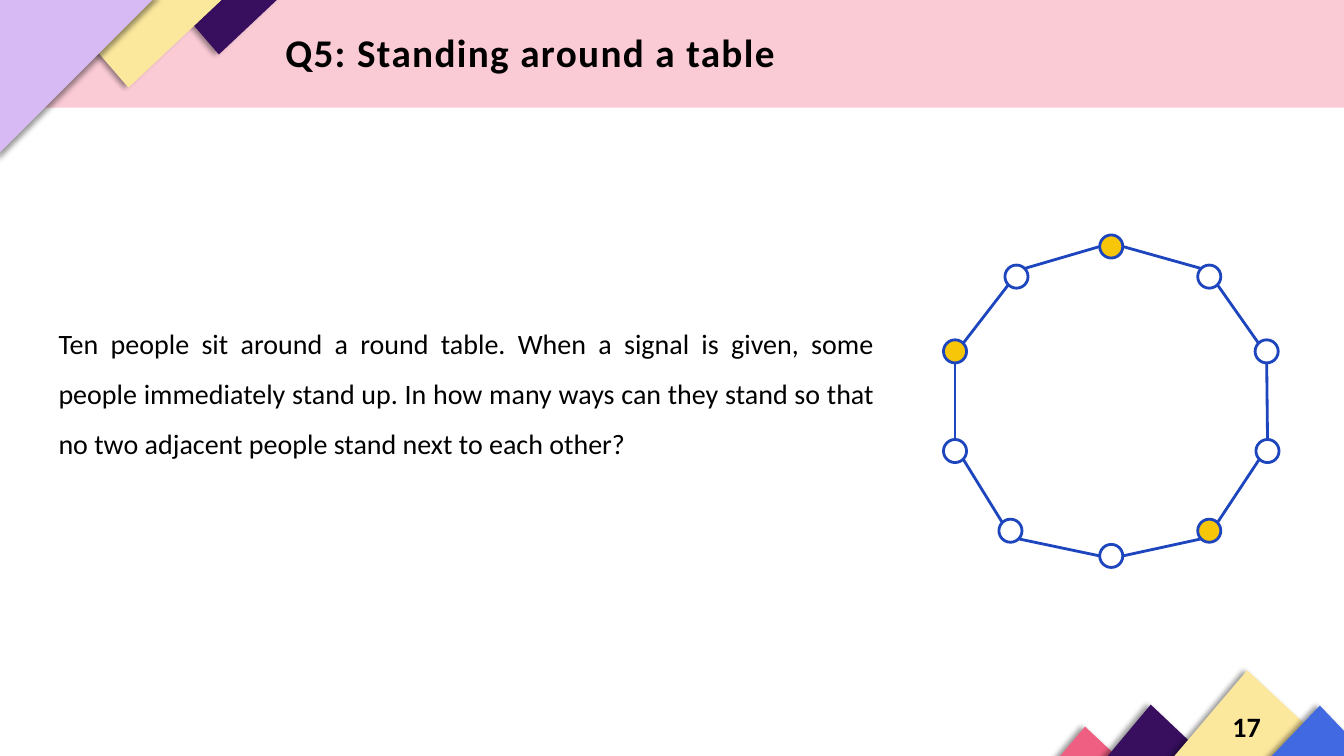
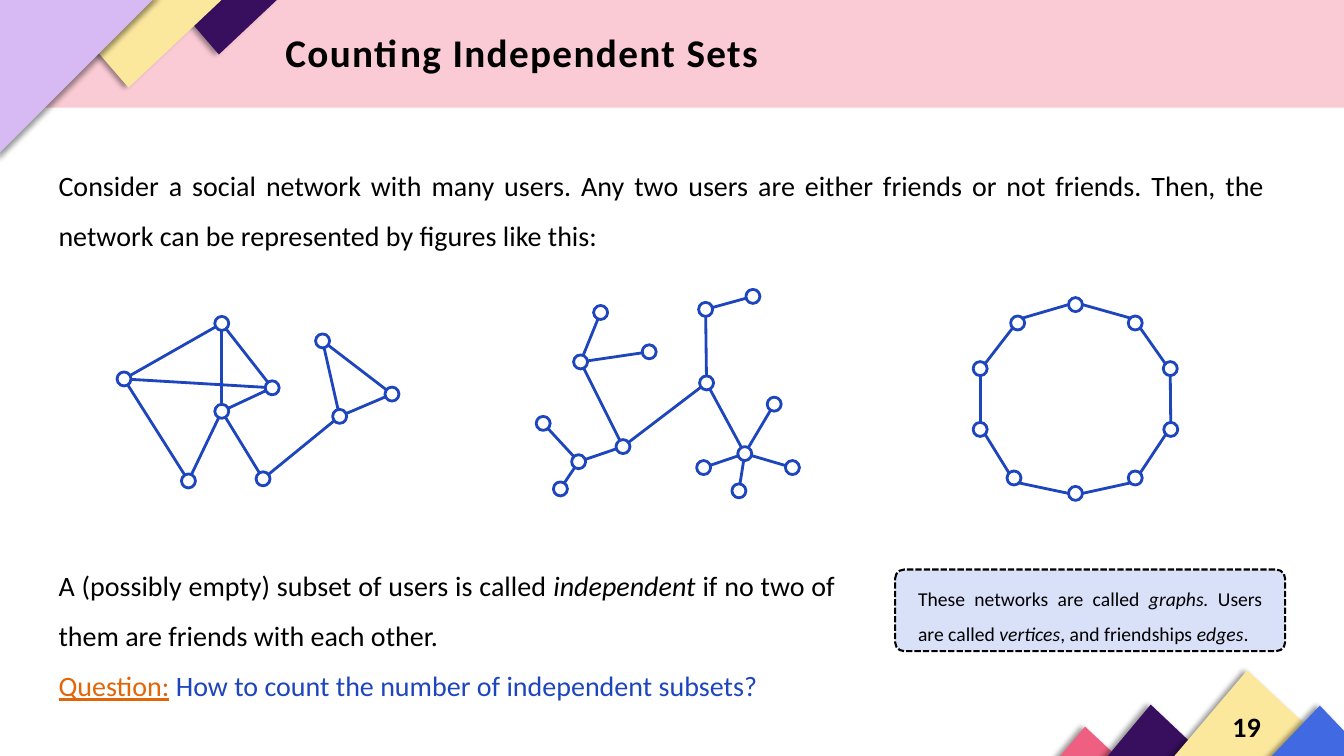
import math

from lxml import etree
from pptx import Presentation
from pptx.dml.color import RGBColor
from pptx.enum import dml, shapes, text
from pptx.oxml.ns import qn
from pptx.util import Pt

COLOURS = {
    "black": "000000", "white": "FFFFFF", "pink": "FACAD5", "navy": "370F5E",
    "cream": "FCE89D", "lilac": "D7BAF4", "rose": "EF5F81", "royal": "4169E2",
    "blue": "1D45BD", "gold": "F7C608", "orange": "E26507", "pale": "D9E1F9",
}
FONT = "Calibri"
SHAPE = shapes.MSO_SHAPE
ALIGN = text.PP_ALIGN
ANCHOR = text.MSO_ANCHOR

# left, top, width, height, rotation, apex, colour, shadow direction
CORNERS = [
    (120.2, -2.9, 80.6, 41.8, 180, 0.552, "navy", 180),
    (35.3, -2.9, 126, 65.5, 180, 0.552, "cream", 180),
    (-3.6, -3.6, 116, 116, 90, 0, "lilac", 45),
    (753.8, 519, 48.2, 25.2, 0, 0.442, "rose", 180),
    (787, 503.3, 79.2, 41.8, 0, 0.442, "navy", 180),
    (835.2, 478.8, 126, 65.5, 0, 0.442, "cream", 180),
    (905, 504, 75.6, 39.6, 0, 0.5, "royal", 180),
]

# Ten seats clockwise from the top, relative to the table's centre
SEATS = dict(zip("abcdefghij", [
    (0, -110.5), (70, -89), (111, -35.6), (111.6, 35.6), (70, 92.5),
    (0, 110.5), (-72, 92.5), (-111.6, 35.6), (-111.6, -35.6), (-67.7, -89)]))
SEAT_EDGES = "ab bc cd de ef fg gh hi ij ja"
# Where each edge leaves and meets a circle, in eighths anticlockwise from the top
SEAT_SITES = [(6, 1), (5, 1), (4, 0), (3, 7), (3, 6),
              (2, 5), (1, 5), (0, 4), (7, 3), (7, 2)]

FRIENDS = dict(zip("abcdefghi", [
    (88.6, 270.7), (134.6, 343.5), (158.4, 293.8), (158.4, 231), (194.4, 277),
    (187.9, 342), (242.6, 297.4), (230.4, 243.5), (280, 281.5)]))
FRIEND_EDGES = "ce cf fg cd de cb ba ae ad gh gi hi"

TREE = dict(zip("abcdefghijklmno", [
    (388, 302.4), (400.3, 349.2), (413.3, 329.8), (445, 319), (414.7, 258.5),
    (429, 223.2), (463.7, 251.3), (504.7, 273.5), (504, 221), (537.8, 211.7),
    (532, 324), (502.6, 334), (527.8, 350.6), (566, 334), (553, 288.7)]))
TREE_EDGES = "cd de ef eg dh ca cb hk kl km kn ko hi ij"


def rgb(name):
    return RGBColor.from_string(COLOURS[name])


def rim_point(centre, radius, site):
    """Point on a circle's rim, or its centre when site is None."""
    if site is None:
        return centre
    angle = site * math.pi / 4
    return (centre[0] - radius * math.sin(angle),
            centre[1] - radius * math.cos(angle))


def place(shape, left, top, width, height):
    shape.left, shape.top = Pt(left), Pt(top)
    shape.width, shape.height = Pt(width), Pt(height)


class Deck:
    def __init__(self):
        self.prs = Presentation()
        self.prs.slide_width, self.prs.slide_height = Pt(960), Pt(540)
        self.slide = None

    def new_slide(self, layout, title, number):
        first = self.slide is None
        self.slide = self.prs.slides.add_slide(self.prs.slide_layouts[layout])
        if first:
            self.decorate_master()
        heading = self.slide.shapes.title
        place(heading, 196.6, 16.6, 552, 41)
        self.set_text(heading, [[(title, {"bold": True, "spacing": 100})]],
                      size=28, align=ALIGN.LEFT, spacing=1)
        page = self.slide.shapes.add_textbox(Pt(860), Pt(504), Pt(61), Pt(29))
        self.set_text(page, [[(number, {"bold": True})]],
                      align=ALIGN.CENTER, spacing=1, anchor=ANCHOR.MIDDLE)

    def decorate_master(self):
        """Draw the band and corner triangles, then move them to the master."""
        decor = [self.shape(SHAPE.RECTANGLE, (-3, -2, 966, 79), "pink")]
        for *box, rotation, apex, fill, direction in CORNERS:
            triangle = self.shape(SHAPE.ISOSCELES_TRIANGLE, box, fill)
            triangle.rotation = rotation
            triangle.adjustments[0] = apex
            self.cast_shadow(triangle, direction)
            decor.append(triangle)
        for shape_id, part in enumerate(decor, 100):
            part.element.nvSpPr.cNvPr.id = shape_id
            self.prs.slide_master.shapes.element.append(part.element)

    def cast_shadow(self, shape, direction):
        effects = shape.element.spPr.find(qn("a:effectLst"))
        shadow = etree.SubElement(
            effects, qn("a:outerShdw"), blurRad=str(Pt(4)), dist=str(Pt(3)),
            dir=str(direction * 60000), algn="ctr", rotWithShape="0")
        colour = etree.SubElement(shadow, qn("a:srgbClr"), val=COLOURS["black"])
        etree.SubElement(colour, qn("a:alpha"), val="40000")

    def shape(self, kind, box, fill, line=None, weight=2, parent=None):
        parent = parent or self.slide.shapes
        shape = parent.add_shape(kind, *map(Pt, box))
        shape.shadow.inherit = False
        shape.fill.solid()
        shape.fill.fore_color.rgb = rgb(fill)
        if line:
            shape.line.color.rgb = rgb(line)
            shape.line.width = Pt(weight)
        else:
            shape.line.fill.background()
        return shape

    def edge(self, parent, start, end):
        edge = parent.add_connector(shapes.MSO_CONNECTOR.STRAIGHT,
                                    *map(Pt, (*start, *end)))
        edge.line.color.rgb = rgb("blue")
        edge.line.width = Pt(2)
        etree.SubElement(edge.element.spPr, qn("a:effectLst"))

    def graph(self, vertices, edges, diameter=10, sites=None, chosen=""):
        """Draw a grouped graph; edges are pairs of vertex letters."""
        parent = self.slide.shapes.add_group_shape().shapes
        pairs = edges.split()
        radius = diameter / 2
        for (a, b), (out, into) in zip(pairs, sites or [(None, None)] * len(pairs)):
            self.edge(parent, rim_point(vertices[a], radius, out),
                      rim_point(vertices[b], radius, into))
        for name, (x, y) in vertices.items():
            self.shape(SHAPE.OVAL, (x - radius, y - radius, diameter, diameter),
                       "gold" if name in chosen else "white", "blue",
                       parent=parent)

    def round_table(self, x, y, scale, diameter, chosen=""):
        seats = {name: (x + dx * scale, y + dy * scale)
                 for name, (dx, dy) in SEATS.items()}
        self.graph(seats, SEAT_EDGES, diameter, SEAT_SITES, chosen)

    def body(self, index, box, paragraphs):
        holder = self.slide.placeholders[index]
        place(holder, *box)
        self.set_text(holder, paragraphs)
        for paragraph in holder.text_frame.paragraphs:
            props = paragraph._p.get_or_add_pPr()
            props.set("marL", "0")
            props.set("indent", "0")
            etree.SubElement(props, qn("a:buNone"))

    def callout(self, box, paragraphs):
        note = self.shape(SHAPE.ROUNDED_RECTANGLE, box, "pale", "black", 1.5)
        note.adjustments[0] = 0.11
        note.line.dash_style = dml.MSO_LINE.SQUARE_DOT
        self.set_text(note, paragraphs, size=14)
        frame = note.text_frame
        frame.margin_left = frame.margin_right = Pt(14.5)
        frame.margin_top = Pt(2.2)

    def set_text(self, shape, paragraphs, size=20, align=ALIGN.JUSTIFY,
                 spacing=1.5, anchor=ANCHOR.TOP):
        """Fill a shape with paragraphs, each a list of (words, style) runs."""
        frame = shape.text_frame
        frame.word_wrap = True
        frame.auto_size = text.MSO_AUTO_SIZE.NONE
        frame.vertical_anchor = anchor
        for i, runs in enumerate(paragraphs):
            paragraph = frame.add_paragraph() if i else frame.paragraphs[0]
            paragraph.alignment = align
            paragraph.line_spacing = spacing
            paragraph.space_before = paragraph.space_after = Pt(0)
            for words, style in runs:
                run = paragraph.add_run()
                run.text = words
                font = run.font
                font.name, font.size = FONT, Pt(size)
                font.bold = style.get("bold", False)
                font.italic = style.get("italic", False)
                font.underline = style.get("underline", False)
                font.color.rgb = rgb(style.get("colour", "black"))
                if "spacing" in style:
                    run._r.get_or_add_rPr().set("spc", str(style["spacing"]))


def standing_slide(deck):
    deck.new_slide(1, "Q5: Standing around a table", "17")
    deck.round_table(793.8, 286.6, 1, 16.5, chosen="aei")
    deck.body(1, (34.6, 217.4, 597, 113), [[(
        "Ten people sit around a round table. When a signal is given, some "
        "people immediately stand up. In how many ways can they stand so that "
        "no two adjacent people stand next to each other?", {})]])


def independent_sets_slide(deck):
    italic = {"italic": True}
    deck.new_slide(3, "Counting Independent Sets", "19")
    deck.body(1, (34.6, 104.4, 876, 77), [[(
        "Consider a social network with many users. Any two users are either "
        "friends or not friends. Then, the network can be represented by "
        "figures like this:", {})]])
    deck.graph(FRIENDS, FRIEND_EDGES)
    deck.graph(TREE, TREE_EDGES)
    deck.round_table(768.2, 285, 0.61, 10)
    deck.body(2, (34.6, 390.2, 569, 113), [
        [("A (possibly empty) subset of users is called ", {}),
         ("independent", italic),
         (" if no two of them are friends with each other.", {})],
        [("Question:", {"colour": "orange", "underline": True}),
         (" ", {}),
         ("How to count the number of independent subsets?",
          {"colour": "blue"})],
    ])
    deck.callout((639.4, 406.8, 278.6, 58.3), [[
        ("These networks are called ", {}), ("graphs.", italic),
        (" Users are called ", {}), ("vertices", italic),
        (", and friendships ", {}), ("edges", italic), (".", {})]])


def main():
    deck = Deck()
    standing_slide(deck)
    independent_sets_slide(deck)
    deck.prs.save("out.pptx")


if __name__ == "__main__":
    main()
